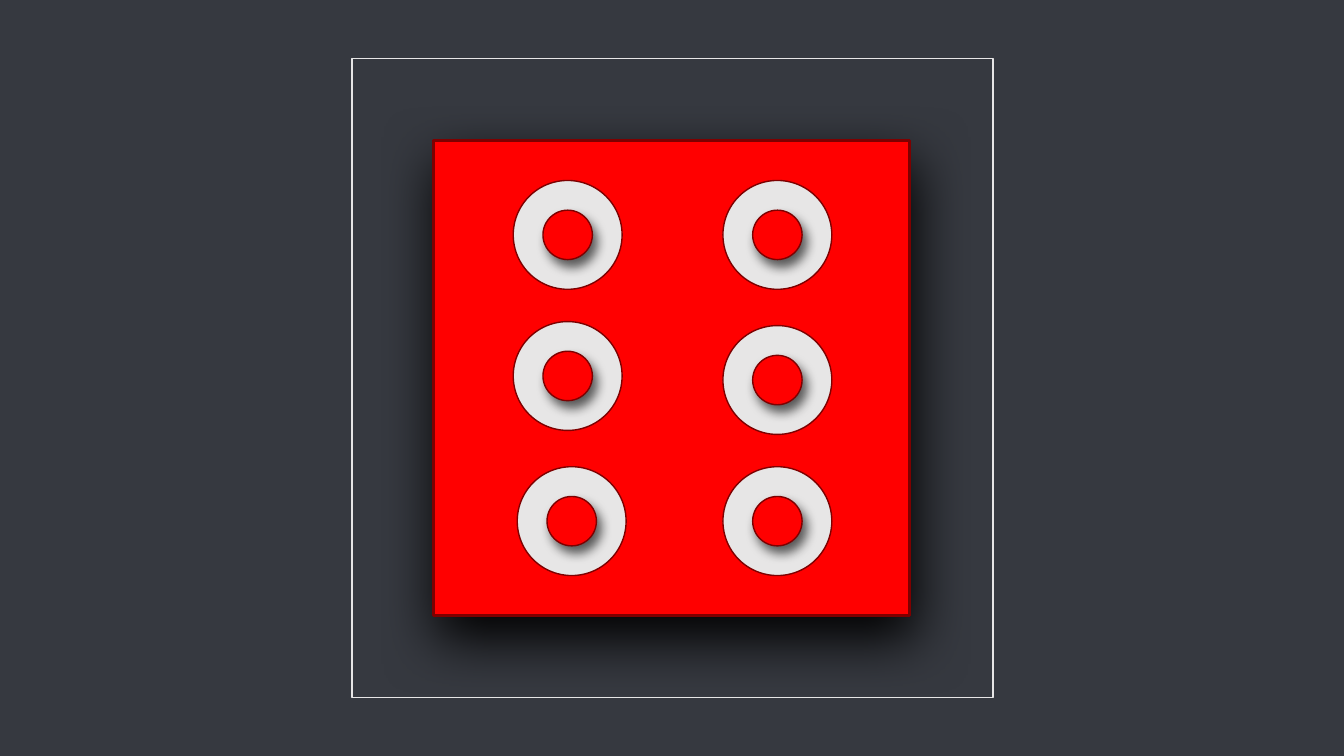
import pptx
import pptx.dml.color
import pptx.enum.shapes
import pptx.oxml
import pptx.oxml.ns
import pptx.util

Inches = pptx.util.Inches
Pt = pptx.util.Pt
RGBColor = pptx.dml.color.RGBColor
Shape = pptx.enum.shapes.MSO_SHAPE

SLATE = RGBColor(0x36, 0x39, 0x40)
RED = RGBColor(0xFF, 0x00, 0x00)
DARK_RED = RGBColor(0x7E, 0x00, 0x00)
LIGHT_GREY = RGBColor(0xE7, 0xE6, 0xE6)
BLACK = RGBColor(0x00, 0x00, 0x00)

RING_SIZE = 1.08
CORE_SIZE = 0.49
RING_CENTRES = [
    (5.63, 2.33), (7.71, 2.33),
    (5.63, 3.73), (7.71, 3.77),
    (5.67, 5.17), (7.71, 5.17),
]


class DicePainter:
    def __init__(self, page):
        self.page = page
        background = page.background.fill
        background.solid()
        background.fore_color.rgb = SLATE

    def style(self, shape, fill, line, width):
        shape.shadow.inherit = False
        if fill is None:
            shape.fill.background()
        else:
            shape.fill.solid()
            shape.fill.fore_color.rgb = fill
        shape.line.color.rgb = line
        shape.line.width = Pt(width)

    def cast_shadow(self, shape, alpha, blur, distance, angle):
        effects = shape.element.spPr.find(pptx.oxml.ns.qn("a:effectLst"))
        effects.append(pptx.oxml.parse_xml(
            f'<a:outerShdw {pptx.oxml.ns.nsdecls("a")} blurRad="{Pt(blur)}" '
            f'dist="{Pt(distance)}" dir="{angle * 60000}" algn="ctr" rotWithShape="0">'
            f'<a:srgbClr val="{BLACK}"><a:alpha val="{alpha * 1000}"/></a:srgbClr>'
            '</a:outerShdw>'))

    def face(self, left, top, size):
        right, bottom = left + size, top + size
        corners = [(right, top), (right, bottom), (left, bottom)]
        builder = self.page.shapes.build_freeform(Inches(left), Inches(top))
        builder.add_line_segments([(Inches(x), Inches(y)) for x, y in corners])
        face = builder.convert_to_shape()
        self.style(face, RED, DARK_RED, 2.25)
        self.cast_shadow(face, 100, 41, 16, 80)

    def frame(self, left, top, width, height):
        frame = self.page.shapes.add_shape(
            Shape.RECTANGLE, Inches(left), Inches(top), Inches(width), Inches(height))
        self.style(frame, None, LIGHT_GREY, 1)

    def circle(self, centre_x, centre_y, size, fill):
        circle = self.page.shapes.add_shape(
            Shape.OVAL, Inches(centre_x - size / 2), Inches(centre_y - size / 2),
            Inches(size), Inches(size))
        self.style(circle, fill, DARK_RED, 1)
        return circle

    def pip(self, centre_x, centre_y):
        self.circle(centre_x, centre_y, RING_SIZE, LIGHT_GREY)
        core = self.circle(centre_x, centre_y, CORE_SIZE, RED)
        self.cast_shadow(core, 61, 8, 6, 60)


def main():
    deck = pptx.Presentation()
    deck.slide_width = Inches(13.33)
    deck.slide_height = Inches(7.5)
    painter = DicePainter(deck.slides.add_slide(deck.slide_layouts[6]))
    painter.face(4.3, 1.39, 4.72)
    painter.frame(3.49, 0.58, 6.36, 6.34)
    for centre_x, centre_y in RING_CENTRES:
        painter.pip(centre_x, centre_y)
    deck.save("out.pptx")


if __name__ == "__main__":
    main()
